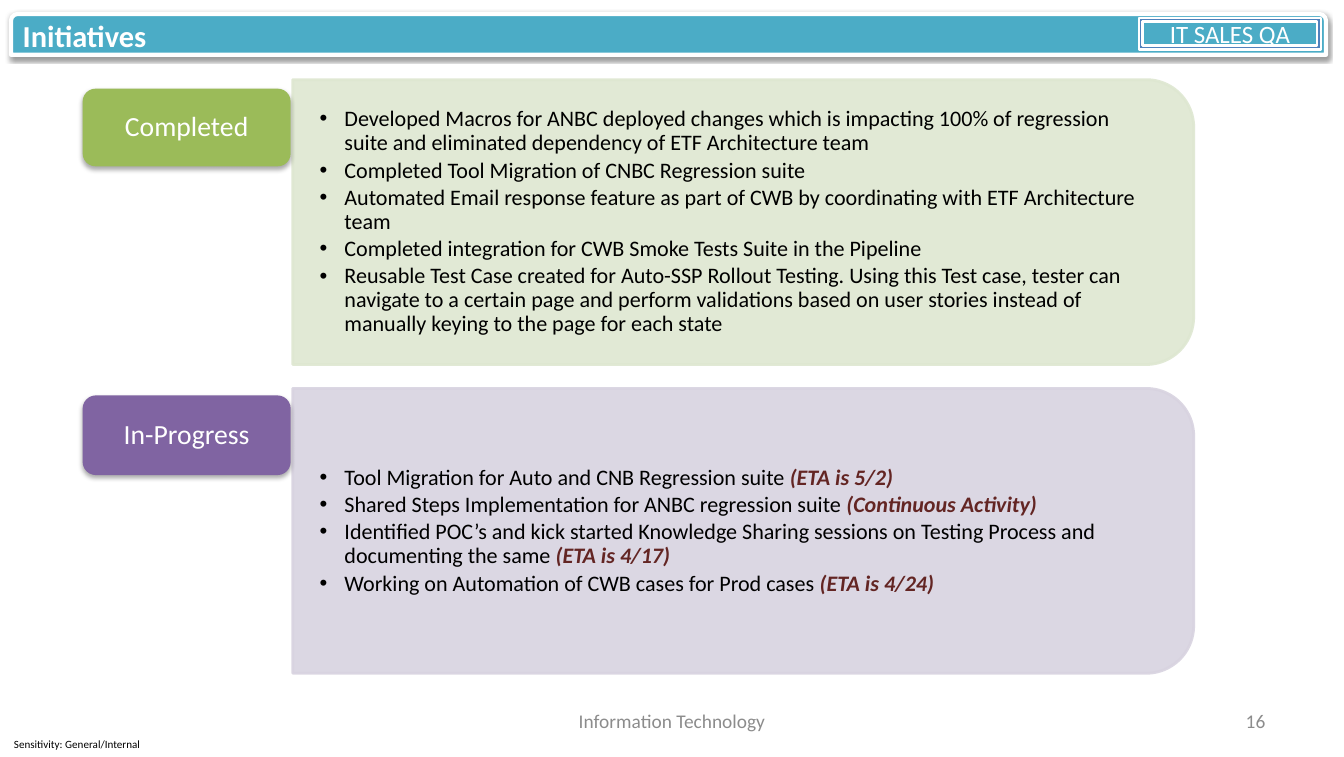
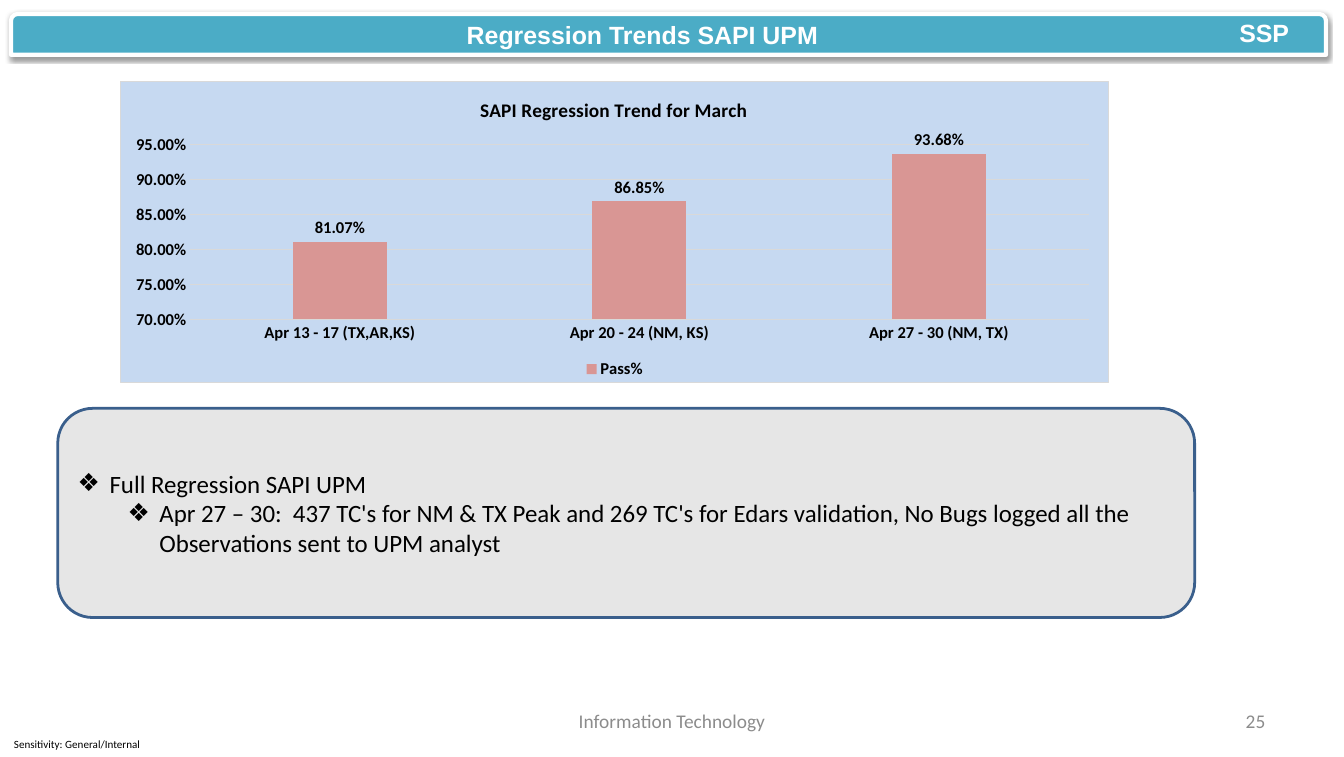
from lxml import etree
from pptx import Presentation
from pptx.chart.data import CategoryChartData
from pptx.dml.color import RGBColor
from pptx.enum.chart import XL_CHART_TYPE, XL_LABEL_POSITION, XL_LEGEND_POSITION, XL_TICK_MARK
from pptx.enum.shapes import MSO_SHAPE
from pptx.enum.text import MSO_ANCHOR, PP_ALIGN
from pptx.oxml import parse_xml
from pptx.oxml.ns import nsdecls, qn
from pptx.util import Inches, Pt

# Content
COLORS = {
    "bar": "4BACC6", "white": "FFFFFF", "black": "000000", "footer": "8C8C8C",
    "frame": "4F81BD", "eta": "632523", "note": "E6E6E6", "note_line": "3A5F8C",
    "done": "9BBB59", "done_panel": "DEE7D1", "doing": "8064A2", "doing_panel": "D8D3E0",
    "chart": "C6D9F1", "grid": "D9D9D9", "column": "D99694",
}
SENSITIVITY = "Sensitivity: General/Internal"
DEPARTMENT = "Information Technology"

# Each bullet is a text and its highlighted ending
INITIATIVES = [
    {"label": "Completed", "color": "done", "panel": "done_panel",
     "panel_top": 0.8, "label_top": 0.89, "label_height": 0.78,
     "bullets": [
         ("Developed Macros for ANBC deployed changes which is impacting 100% of regression "
          "suite and eliminated dependency of ETF Architecture team", ""),
         ("Completed Tool Migration of CNBC Regression suite", ""),
         ("Automated Email response feature as part of CWB by coordinating with ETF "
          "Architecture team", ""),
         ("Completed integration for CWB Smoke Tests Suite in the Pipeline", ""),
         ("Reusable Test Case created for Auto-SSP Rollout Testing. Using this Test case, "
          "tester can navigate to a certain page and perform validations based on user "
          "stories instead of manually keying to the page for each state", ""),
     ]},
    {"label": "In-Progress", "color": "doing", "panel": "doing_panel",
     "panel_top": 3.9, "label_top": 3.97, "label_height": 0.8,
     "bullets": [
         ("Tool Migration for Auto and CNB Regression suite ", "(ETA is 5/2)"),
         ("Shared Steps Implementation for ANBC regression suite ", "(Continuous Activity)"),
         ("Identified POC’s and kick started Knowledge Sharing sessions on Testing Process "
          "and documenting the same ", "(ETA is 4/17)"),
         ("Working on Automation of CWB cases for Prod cases ", "(ETA is 4/24)"),
     ]},
]

TREND_TITLE = "SAPI Regression Trend for March"
PASS_RATES = [
    ("Apr 13 - 17 (TX,AR,KS)", 0.8107),
    ("Apr 20 - 24 (NM, KS)", 0.8685),
    ("Apr 27 - 30 (NM, TX)", 0.9368),
]
# Notes: text, level, left margin
NOTES = [
    ("Full Regression SAPI UPM", 0, 0.32),
    ("Apr 27 – 30:  437 TC's for NM & TX Peak and 269 TC's for Edars validation, "
     "No Bugs logged all the Observations sent to UPM analyst", 1, 0.82),
]

PANEL_LEFT, PANEL_WIDTH, PANEL_HEIGHT = 2.94, 9.05, 2.86


def rgb(name):
    return RGBColor.from_string(COLORS[name])


def write(frame, text, *, size, color="black", bold=False, italic=False, font="Calibri",
          align=PP_ALIGN.LEFT, anchor=MSO_ANCHOR.MIDDLE, wrap=True, insets=(0.1, 0.05),
          bullet=None, margin=0, hanging=0, level=0, line=None, after=None, same=False):
    """Write a paragraph, or with same=True another run of the last one."""
    frame.word_wrap, frame.vertical_anchor = wrap, anchor
    frame.margin_left = frame.margin_right = Inches(insets[0])
    frame.margin_top = frame.margin_bottom = Inches(insets[1])
    paragraph = frame.paragraphs[-1]
    if not same:
        if paragraph.runs:
            paragraph = frame.add_paragraph()
        paragraph.alignment, paragraph.level = align, level
        if bullet:
            properties = paragraph._p.get_or_add_pPr()
            properties.set("marL", str(Inches(margin)))
            properties.set("indent", str(-Inches(hanging)))
            etree.SubElement(properties, qn("a:buFont")).set("typeface", "Arial")
            etree.SubElement(properties, qn("a:buChar")).set("char", bullet)
        if line:
            paragraph.line_spacing = line
        if after:
            paragraph.space_after = Pt(after)
    run = paragraph.add_run()
    run.text = text
    run.font.name, run.font.size = font, Pt(size)
    run.font.bold, run.font.italic = bold, italic
    run.font.color.rgb = rgb(color)


def add_text(slide, at, text, **style):
    box = slide.shapes.add_textbox(*map(Inches, at))
    write(box.text_frame, text, **style)


def set_alpha(owner, percent):
    for color in owner.iter(qn("a:srgbClr")):
        etree.SubElement(color, qn("a:alpha")).set("val", str(percent * 1000))


def add_box(slide, preset, at, fill, line=None, width=2, shadow=None, alpha=None):
    box = slide.shapes.add_shape(preset, *map(Inches, at))
    box.fill.solid()
    box.fill.fore_color.rgb = rgb(fill)
    if line:
        box.line.color.rgb = rgb(line)
        box.line.width = Pt(width)
    else:
        box.line.fill.background()
    if alpha:
        set_alpha(box._element.spPr, alpha)
    box.shadow.inherit = False
    if shadow:
        opacity, blur, distance = shadow
        effects = box._element.spPr.find(qn("a:effectLst"))
        effects.append(parse_xml(
            f'<a:outerShdw {nsdecls("a")} blurRad="{Pt(blur)}" dist="{Pt(distance)}" '
            f'dir="5400000" rotWithShape="0"><a:srgbClr val="{COLORS["black"]}">'
            f'<a:alpha val="{opacity * 1000}"/></a:srgbClr></a:outerShdw>'))
    return box


def add_base(deck, number):
    """Slide with the footers and title bar that all slides share."""
    slide = deck.slides.add_slide(deck.slide_layouts[6])
    add_text(slide, (0.14, 7.35, 1.55, 0.25), SENSITIVITY, size=8, insets=(0, 0))
    footer = {"size": 14, "color": "footer", "insets": (0.12, 0.06)}
    add_text(slide, (4.61, 7.04, 4.28, 0.4), DEPARTMENT, align=PP_ALIGN.CENTER, **footer)
    add_text(slide, (9.68, 7.04, 3.15, 0.4), number, align=PP_ALIGN.RIGHT, **footer)
    bar = add_box(slide, MSO_SHAPE.ROUND_2_SAME_RECTANGLE, (0.11, 0.14, 13.21, 0.41),
                  "bar", "white", 3, shadow=(38, 3.1, 1.6))
    return slide, bar


def add_initiative(slide, group):
    # The panel is a tall shape turned by 90 degrees about its centre
    turn = (PANEL_WIDTH - PANEL_HEIGHT) / 2
    panel = add_box(slide, MSO_SHAPE.ROUND_2_SAME_RECTANGLE,
                    (PANEL_LEFT + turn, group["panel_top"] - turn, PANEL_HEIGHT, PANEL_WIDTH),
                    group["panel"], group["panel"], alpha=90)
    panel.rotation = 90
    box = slide.shapes.add_textbox(Inches(PANEL_LEFT), Inches(group["panel_top"] + 0.14),
                                   Inches(PANEL_WIDTH - 0.14), Inches(PANEL_HEIGHT - 0.28))
    bullet_style = {"size": 16, "insets": (0.27, 0.14), "bullet": "•", "margin": 0.25,
                    "hanging": 0.25, "level": 1, "line": 0.9, "after": 2.5}
    for text, eta in group["bullets"]:
        write(box.text_frame, text, **bullet_style)
        if eta:
            write(box.text_frame, eta, same=True, color="eta", bold=True, italic=True,
                  **bullet_style)
    label = add_box(slide, MSO_SHAPE.ROUNDED_RECTANGLE,
                    (0.83, group["label_top"], 2.09, group["label_height"]),
                    group["color"], shadow=(32, 3.5, 2.2))
    write(label.text_frame, group["label"], size=20, color="white",
          align=PP_ALIGN.CENTER, line=0.9)


def set_layout(owner, inner=False, **places):
    """Place a chart part by fractions of the chart."""
    layout = owner.find(qn("c:layout"))
    if layout is None:
        layout = etree.Element(qn("c:layout"))
        owner.insert(0, layout)
    manual = etree.SubElement(layout, qn("c:manualLayout"))
    if inner:
        etree.SubElement(manual, qn("c:layoutTarget")).set("val", "inner")
    for key in ("x", "y"):
        etree.SubElement(manual, qn(f"c:{key}Mode")).set("val", "edge")
    for key, value in places.items():
        etree.SubElement(manual, qn(f"c:{key}")).set("val", str(value))


def set_font(font, size=12):
    font.name, font.size, font.bold = "Calibri", Pt(size), True
    font.color.rgb = rgb("black")


def add_trend(slide):
    data = CategoryChartData(number_format="0.00%")
    data.categories = [week for week, _ in PASS_RATES]
    data.add_series("Pass%", [rate for _, rate in PASS_RATES])
    chart = slide.shapes.add_chart(XL_CHART_TYPE.COLUMN_CLUSTERED,
                                   *map(Inches, (1.21, 0.81, 9.93, 3.04)), data).chart
    set_font(chart.font)
    title = chart.chart_title
    title.text_frame.text = TREND_TITLE
    set_font(title.text_frame.paragraphs[0].runs[0].font, 14)
    set_layout(title._element, x=0.36, y=0.04)
    chart.has_legend = True
    chart.legend.position = XL_LEGEND_POSITION.BOTTOM
    chart.legend.include_in_layout = False
    set_font(chart.legend.font)

    # Columns
    plot = chart.plots[0]
    plot.gap_width, plot.overlap, plot.vary_by_categories = 219, -27, False
    series = plot.series[0]
    series.format.fill.solid()
    series.format.fill.fore_color.rgb = rgb("column")
    plot.has_data_labels = True
    labels = plot.data_labels
    labels.show_value, labels.position = True, XL_LABEL_POSITION.OUTSIDE_END
    labels.number_format, labels.number_format_is_linked = "0.00%", False
    set_font(labels.font)

    # Axes
    weeks, rates = chart.category_axis, chart.value_axis
    for axis in (weeks, rates):
        axis.major_tick_mark = axis.minor_tick_mark = XL_TICK_MARK.NONE
        set_font(axis.tick_labels.font)
    rates.minimum_scale, rates.maximum_scale, rates.major_unit = 0.7, 0.95, 0.05
    rates.tick_labels.number_format = "0.00%"
    rates.tick_labels.number_format_is_linked = False
    rates.format.line.fill.background()
    for line in (weeks.format.line, rates.major_gridlines.format.line):
        line.color.rgb = rgb("grid")
        line.width = Pt(0.75)

    # Chart area
    chart_part = chart._chartSpace.find(qn("c:chart"))
    set_layout(chart_part.find(qn("c:plotArea")), inner=True, x=0.07, y=0.21, w=0.91, h=0.58)
    chart_part.addnext(parse_xml(
        f'<c:spPr {nsdecls("c", "a")}>'
        f'<a:solidFill><a:srgbClr val="{COLORS["chart"]}"/></a:solidFill>'
        f'<a:ln w="{Pt(0.75)}"><a:solidFill><a:srgbClr val="{COLORS["grid"]}"/></a:solidFill>'
        '</a:ln></c:spPr>'))


def main():
    deck = Presentation()
    deck.slide_width, deck.slide_height = Inches(13.5), Inches(7.6)

    # Initiatives
    slide, bar = add_base(deck, "16")
    write(bar.text_frame, "Initiatives", size=22, color="white", bold=True)
    for group in INITIATIVES:
        add_initiative(slide, group)
    team = add_box(slide, MSO_SHAPE.FRAME, (11.44, 0.18, 1.83, 0.32), "frame", "white")
    write(team.text_frame, "IT SALES QA", size=18, color="white", align=PP_ALIGN.CENTER)

    # Regression trends
    slide, _ = add_base(deck, "25")
    heading = {"size": 18, "color": "white", "bold": True, "font": "Arial",
               "anchor": MSO_ANCHOR.TOP}
    add_text(slide, (4.59, 0.15, 4.36, 0.41), "Regression Trends SAPI UPM", **heading)
    add_text(slide, (12.35, 0.13, 0.72, 0.41), "SSP", wrap=False, **heading)
    add_trend(slide)
    notes = add_box(slide, MSO_SHAPE.ROUNDED_RECTANGLE, (0.58, 4.1, 11.42, 2.1),
                    "note", "note_line")
    for text, level, margin in NOTES:
        write(notes.text_frame, text, size=18, bullet="❖", margin=margin, hanging=0.32,
              level=level)

    deck.save("out.pptx")


if __name__ == "__main__":
    main()
